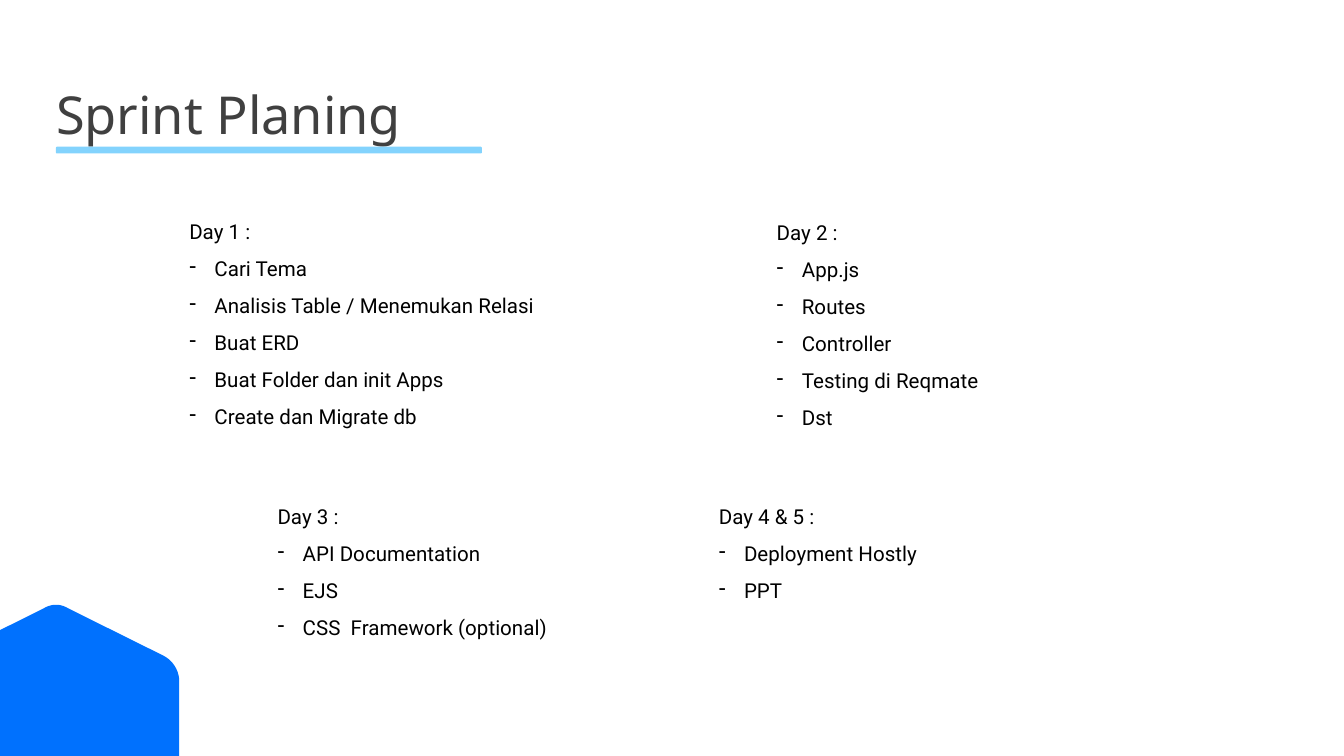
from lxml import etree
from pptx import Presentation
from pptx import util as u
from pptx.dml.color import RGBColor
from pptx.enum import shapes, text
from pptx.oxml import ns

Pt = u.Pt


def colour(value):
    return RGBColor.from_string(value)


def paint(shape, fill):
    shape.shadow.inherit = False
    shape.fill.solid()
    shape.fill.fore_color.rgb = colour(fill)
    shape.line.fill.background()


def add_dash(paragraph, indent):
    properties = paragraph._p.get_or_add_pPr()
    properties.set("marL", str(Pt(indent)))
    properties.set("indent", str(-Pt(indent)))
    etree.SubElement(properties, ns.qn("a:buFontTx"))
    etree.SubElement(properties, ns.qn("a:buChar")).set("char", "-")


def add_text(slide, box, lines, size=11, font="Roboto", ink="000000",
             spacing=None, wrap=True, dash_from=None):
    frame = slide.shapes.add_textbox(*map(Pt, box)).text_frame
    frame.word_wrap = wrap
    frame.auto_size = text.MSO_AUTO_SIZE.SHAPE_TO_FIT_TEXT
    for index, line in enumerate(lines):
        paragraph = frame.paragraphs[0] if index == 0 else frame.add_paragraph()
        if spacing:
            paragraph.line_spacing = spacing
        if dash_from is not None and index >= dash_from:
            add_dash(paragraph, 13.5)
        run = paragraph.add_run()
        run.text = line
        run.font.size = Pt(size)
        run.font.name = font
        run.font.color.rgb = colour(ink)


def curve(points, steps=10):
    for step in range(steps + 1):
        t = step / steps
        weights = ((1 - t) ** 3, 3 * t * (1 - t) ** 2, 3 * t * t * (1 - t), t ** 3)
        yield tuple(sum(w * p[axis] for w, p in zip(weights, points))
                    for axis in (0, 1))


def add_hexagon(slide, box):
    left, top, width, height = box
    half_width, half_height = width / 2, height / 2
    middle_x, middle_y = left + half_width, top + half_height
    tip = [(0, -half_height), (2.3, -half_height), (4.6, 0.7 - half_height),
           (6.7, 2 - half_height)]
    shoulder = [(half_width - 8.6, -47), (half_width - 3.5, -44.5),
                (half_width, -39), (half_width, -33.4)]
    quarter = [*curve(tip), *curve(shoulder)]
    right = quarter + [(x, -y) for x, y in reversed(quarter)]
    outline = right + [(-x, y) for x, y in reversed(right)]
    corners = [(Pt(middle_x + x), Pt(middle_y + y)) for x, y in outline]
    builder = slide.shapes.build_freeform(*corners[0])
    builder.add_line_segments(corners[1:], close=True)
    paint(builder.convert_to_shape(), "0071FE")


def add_heading(slide, box, title):
    left, top, width, height = box
    add_text(slide, (left, top, width, height), [title], size=28,
             font="Noto Sans", ink="404040", wrap=False)
    underline = slide.shapes.add_shape(
        shapes.MSO_SHAPE.ROUNDED_RECTANGLE,
        Pt(left + 7), Pt(top + 38.3), Pt(228.2), Pt(3.6))
    paint(underline, "83D3FD")


def add_day(slide, box, day, tasks):
    add_text(slide, box, [day, *tasks], spacing=1.5, dash_from=1)


def main():
    deck = Presentation()
    deck.slide_width, deck.slide_height = Pt(720), Pt(405)
    slide = deck.slides.add_slide(deck.slide_layouts[6])
    add_hexagon(slide, (-36, 324, 132, 148.4))
    add_heading(slide, (23, 40.3, 208, 41), "Sprint Planing")

    days = [
        ((94.3, 107.3, 216.7, 125.3), "Day 1 :",
         ["Cari Tema", "Analisis Table / Menemukan Relasi", "Buat ERD",
          "Buat Folder dan init Apps", "Create dan Migrate db"]),
        ((409, 107.9, 233.3, 125.3), "Day 2 :",
         ["App.js", "Routes", "Controller", "Testing di Reqmate", "Dst"]),
        ((141.6, 260, 176.4, 85), "Day 3 :",
         ["API Documentation", "EJS", "CSS  Framework (optional)"]),
        ((378, 260, 176.4, 64.8), "Day 4 & 5 :",
         ["Deployment Hostly", "PPT"]),
    ]
    for box, day, tasks in days:
        add_day(slide, box, day, tasks)
    deck.save("out.pptx")


if __name__ == "__main__":
    main()
